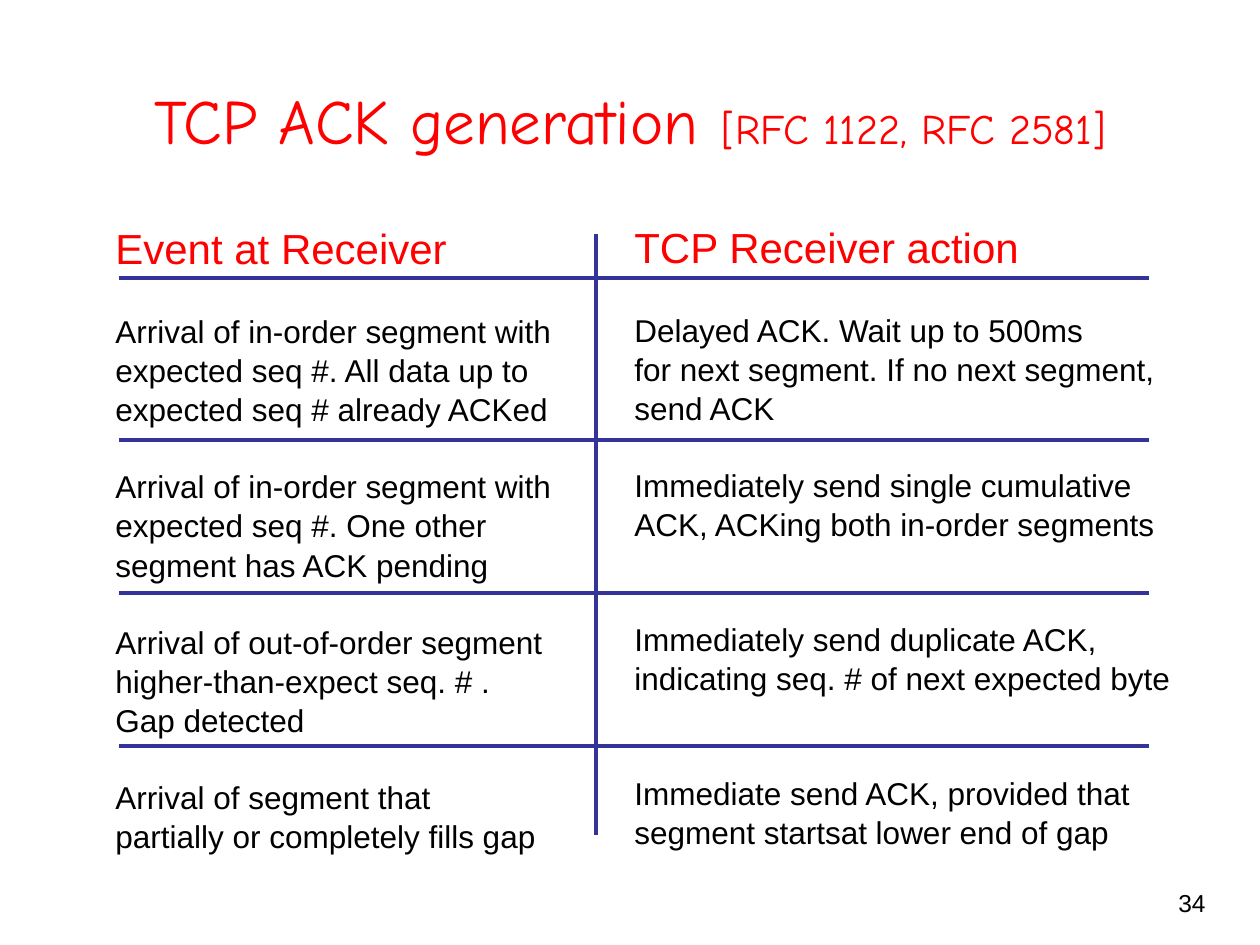
from dataclasses import dataclass

import pptx
import pptx.dml.color
import pptx.enum.shapes
import pptx.enum.text
import pptx.oxml
import pptx.util
from lxml import etree

PX = 914400 // 126  # EMU in one px


@dataclass(frozen=True)
class Theme:
    accent: str = "FF0000"
    text: str = "000000"
    rule: str = "333399"
    title_font: str = "Comic Neue"
    body_font: str = "Arial"
    title_size: int = 36
    title_gap_size: int = 40
    source_size: int = 24
    heading_size: int = 24
    body_size: int = 18
    number_size: int = 14
    rule_width: float = 2.25
    line_spacing: float = 1.04
    line_height: float = 21.5


THEME = Theme()
ROW_LINES = 3  # tallest row of the comparison

EVENTS = [
    ["Arrival of in-order segment with", "expected seq #. All data up to",
     "expected seq # already ACKed"],
    ["Arrival of in-order segment with", "expected seq #. One other",
     "segment has ACK pending"],
    ["Arrival of out-of-order segment", "higher-than-expect seq. # .",
     "Gap detected"],
    ["Arrival of segment that", "partially or completely fills gap"],
]
ACTIONS = [
    ["Delayed ACK. Wait up to 500ms", "for next segment. If no next segment,",
     "send ACK"],
    ["Immediately send single cumulative", "ACK, ACKing both in-order segments"],
    ["Immediately send duplicate ACK,", "indicating seq. # of next expected byte"],
    ["Immediate send ACK, provided that", "segment startsat lower end of gap"],
]


def emu(*lengths):
    return [length * PX for length in lengths]


def format_font(font, name, size, color):
    font.name = name
    font.size = pptx.util.Pt(size)
    font.color.rgb = pptx.dml.color.RGBColor.from_string(color)


def add_title(page, box):
    """Title followed by its smaller source."""
    title = page.shapes.title
    title.left, title.top, title.width, title.height = emu(*box)
    frame = title.text_frame
    frame.vertical_anchor = pptx.enum.text.MSO_ANCHOR.MIDDLE
    para = frame.paragraphs[0]
    para.alignment = pptx.enum.text.PP_ALIGN.CENTER
    para.space_after = pptx.util.Pt(3)
    for text, size in [("TCP ACK generation", THEME.title_size),
                       (" ", THEME.title_gap_size),
                       ("[RFC 1122, RFC 2581]", THEME.source_size)]:
        span = para.add_run()
        span.text = text
        format_font(span.font, THEME.title_font, size, THEME.accent)


def add_column(page, box, heading, rows):
    """Heading and row texts, each row starting at an equal pitch."""
    frame = page.shapes.add_textbox(*emu(*box)).text_frame
    frame.word_wrap = False
    frame.text = "\n".join([heading] + [line for row in rows for line in row])
    for para in frame.paragraphs:
        para.line_spacing = THEME.line_spacing
        format_font(para.runs[0].font, THEME.body_font, THEME.body_size, THEME.text)
    format_font(frame.paragraphs[0].runs[0].font, THEME.body_font,
                THEME.heading_size, THEME.accent)

    # Short rows leave a larger gap below them
    first, blank_lines = 1, 1
    for row in rows:
        gap = pptx.util.Pt(blank_lines * THEME.line_height)
        frame.paragraphs[first].space_before = gap
        first += len(row)
        blank_lines = 1 + ROW_LINES - len(row)


def add_rule(page, start, end):
    rule = page.shapes.add_connector(
        pptx.enum.shapes.MSO_CONNECTOR.STRAIGHT, *emu(*start, *end))
    rule.line.color.rgb = pptx.dml.color.RGBColor.from_string(THEME.rule)
    rule.line.width = pptx.util.Pt(THEME.rule_width)
    etree.SubElement(rule._element.spPr, pptx.oxml.ns.qn("a:effectLst"))


def add_comparison(page, box):
    """Two text columns split by one upright and four level rules."""
    left, top, width, height = box
    add_column(page, (left, top, 461, height), "Event at Receiver", EVENTS)
    add_column(page, (left + 519, top - 1, 561, height),
               "TCP Receiver action", ACTIONS)
    for offset in (64, 226, 379, 532):
        add_rule(page, (left + 16, top + offset),
                 (left + width - 34, top + offset))
    add_rule(page, (left + 493, top + 20), (left + 493, top + 621))


def add_page_number(page, box, number):
    frame = page.shapes.add_textbox(*emu(*box)).text_frame
    frame.word_wrap = True
    frame.text = str(number)
    para = frame.paragraphs[0]
    para.alignment = pptx.enum.text.PP_ALIGN.RIGHT
    format_font(para.runs[0].font, THEME.body_font, THEME.number_size, THEME.text)


def main():
    deck = pptx.Presentation()
    deck.slide_width, deck.slide_height = emu(1260, 945)
    page = deck.slides.add_slide(deck.slide_layouts.get_by_name("Title Only"))
    add_page_number(page, (1125, 882, 93, 63), 34)
    add_title(page, (63, 38, 1134, 158))
    add_comparison(page, (103, 214, 1080, 706))
    deck.save("out.pptx")


if __name__ == "__main__":
    main()
